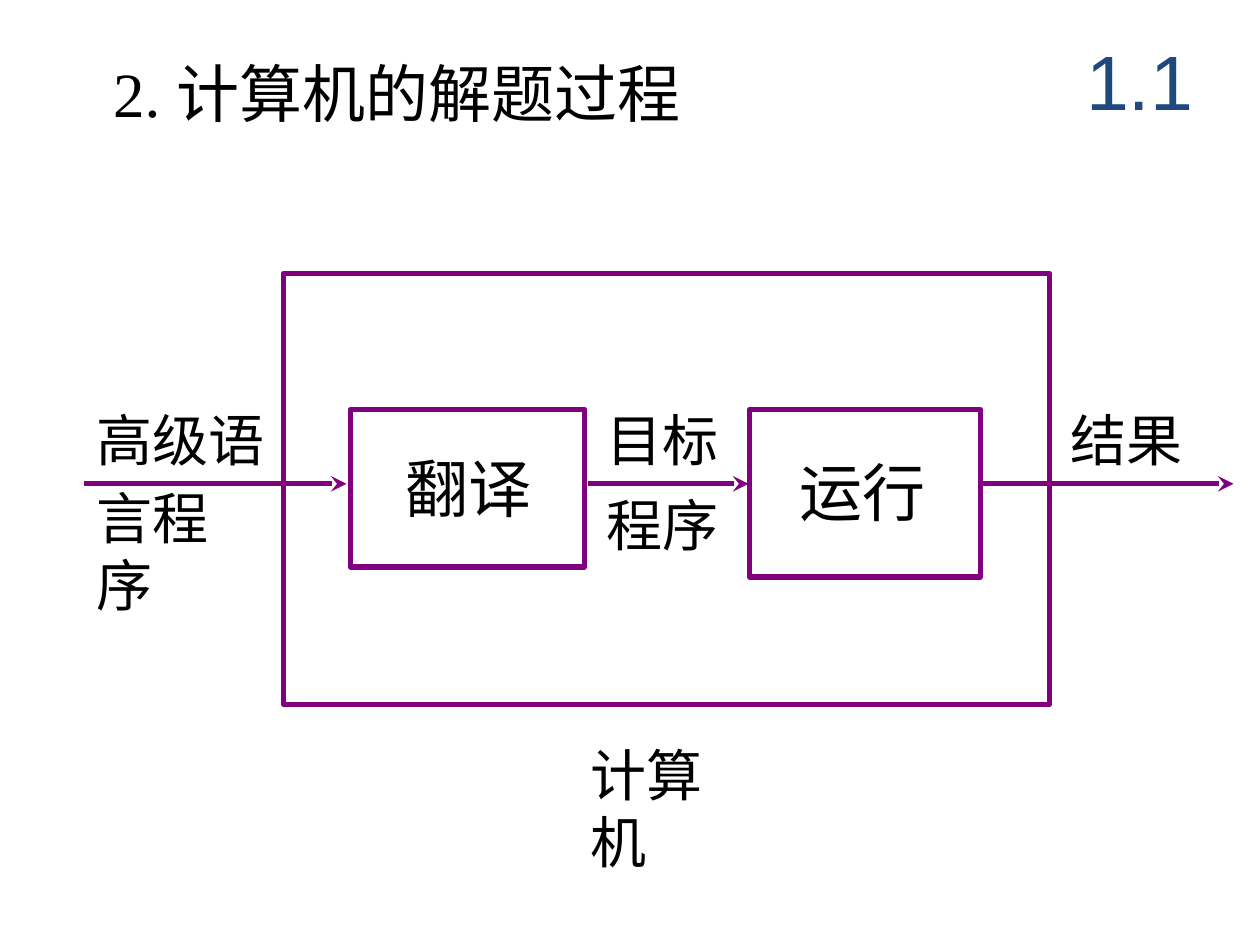
import dataclasses
import pptx
import pptx.dml.color
import pptx.enum.shapes
import pptx.enum.text
import pptx.oxml.ns
import pptx.util
from lxml import etree

Inches = pptx.util.Inches
INK = "000000"
EDGE = "800080"
FLOW = 3.84


@dataclasses.dataclass
class Frame:
    left: float
    top: float
    width: float
    height: float


@dataclasses.dataclass
class Label:
    text: str
    left: float
    top: float
    width: float
    height: float
    size: int = 32
    font: str = "Calibri"
    pad: bool = False
    wrap: bool = False


@dataclasses.dataclass
class Arrow:
    start: float
    end: float


FRAMES = [
    Frame(2.25, 2.17, 6.08, 3.42),
    Frame(2.78, 3.25, 1.86, 1.25),
    Frame(5.95, 3.25, 1.83, 1.33),
]
ARROWS = [Arrow(0.67, 2.75), Arrow(4.67, 5.94), Arrow(7.78, 9.79)]
LABELS = [
    Label("计算机", 4.59, 5.83, 1.53, 0.64, pad=True),
    Label("高级语", 0.77, 3.22, 1.34, 0.53),
    Label("言程序", 0.67, 3.79, 1.53, 0.64, font="Times New Roman", pad=True),
    Label("目标", 4.81, 3.22, 0.89, 0.53),
    Label("程序", 4.81, 3.89, 0.89, 0.53),
    Label("结果", 8.5, 3.22, 1, 0.53, wrap=True),
    Label("翻译", 3.12, 3.52, 1.2, 0.7, size=36, pad=True),
    Label("运行", 6.25, 3.55, 1.2, 0.7, size=36, pad=True),
    Label("2. 计算机的解题过程", 0.8, 0.38, 6.37, 0.7, size=36,
          font="Times New Roman", pad=True, wrap=True),
]


def paint(color, code: str) -> None:
    color.rgb = pptx.dml.color.RGBColor.from_string(code)


def place(item) -> tuple:
    return tuple(Inches(n) for n in (item.left, item.top, item.width, item.height))


def style(frame, text: str, size: int, font: str, code: str) -> None:
    frame.text = text
    for run in frame.paragraphs[0].runs:
        run.font.size = pptx.util.Pt(size)
        run.font.name = font
        paint(run.font.color, code)


def trace(line) -> None:
    paint(line.color, EDGE)
    line.width = pptx.util.Pt(3)


def draw_frame(slide, item: Frame) -> None:
    rect = pptx.enum.shapes.MSO_SHAPE.RECTANGLE
    shape = slide.shapes.add_shape(rect, *place(item))
    shape.shadow.inherit = False
    shape.fill.background()
    trace(shape.line)


def draw_arrow(slide, item: Arrow) -> None:
    kind = pptx.enum.shapes.MSO_CONNECTOR.STRAIGHT
    link = slide.shapes.add_connector(
        kind, Inches(item.start), Inches(FLOW), Inches(item.end), Inches(FLOW))
    trace(link.line)
    tag = pptx.oxml.ns.qn
    props = link._element.spPr
    etree.SubElement(props.find(tag("a:ln")), tag("a:tailEnd"), type="stealth")
    etree.SubElement(props, tag("a:effectLst"))


def draw_label(slide, item: Label) -> None:
    frame = slide.shapes.add_textbox(*place(item)).text_frame
    frame.word_wrap = item.wrap
    frame.auto_size = pptx.enum.text.MSO_AUTO_SIZE.SHAPE_TO_FIT_TEXT
    frame.margin_left = frame.margin_right = Inches(0.1 if item.pad else 0)
    frame.margin_top = frame.margin_bottom = Inches(0.05 if item.pad else 0)
    style(frame, item.text, item.size, item.font, INK)


def draw_title(slide) -> None:
    title = slide.shapes.title
    spot = Frame(8.42, 0.17, 1.25, 0.92)
    title.left, title.top, title.width, title.height = place(spot)
    frame = title.text_frame
    frame.auto_size = pptx.enum.text.MSO_AUTO_SIZE.NONE
    frame.vertical_anchor = pptx.enum.text.MSO_ANCHOR.MIDDLE
    style(frame, "1.1", 44, "Arial", "1F497D")
    frame.paragraphs[0].alignment = pptx.enum.text.PP_ALIGN.CENTER


def main() -> None:
    deck = pptx.Presentation()
    deck.slide_width, deck.slide_height = Inches(10), Inches(7.5)
    slide = deck.slides.add_slide(deck.slide_layouts[5])
    draw_title(slide)
    for item in FRAMES:
        draw_frame(slide, item)
    for item in ARROWS:
        draw_arrow(slide, item)
    for item in LABELS:
        draw_label(slide, item)
    deck.save("out.pptx")


if __name__ == "__main__":
    main()
